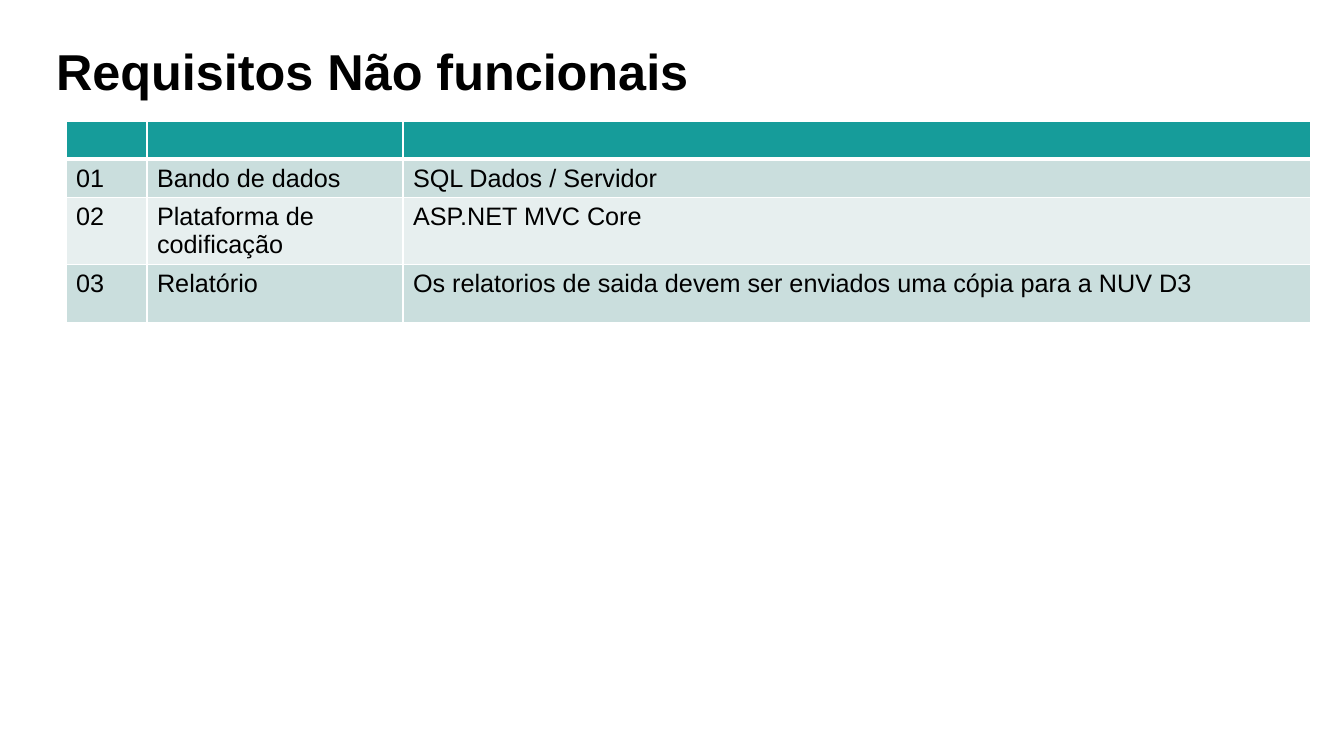
import pptx
import pptx.util
import pptx.dml.color
import pptx.enum.text
import lxml.etree

TITLE = "Requisitos Não funcionais"
ROWS = [
    ("", "", ""),
    ("01", "Bando de dados", "SQL Dados / Servidor"),
    ("02", "Plataforma de codificação", "ASP.NET MVC Core"),
    ("03", "Relatório", "Os relatorios de saida devem ser enviados uma cópia para a NUV D3"),
]
SLIDE = (1344, 756)
HEAD = {"left": 46, "top": -61, "width": 872, "height": 168}
GRID = {"left": 66, "top": 121}
COLS = (81, 256, 908)
HIGHS = (37, 37, 65, 58)
THEME = {
    "font": "Arial", "ink": "000000", "line": "FFFFFF",
    "head": "169C9A", "bands": ("E7EFEF", "CADEDD"),
    "title": 36, "body": 18, "thin": 1, "thick": 3,
}


def px(num):
    return pptx.util.Emu(round(num * 914400 / 100.8))


def assign(item, values):
    for name, value in values.items():
        setattr(item, name, value)


def color(code):
    return pptx.dml.color.RGBColor.from_string(code)


def style(para, size, bold):
    assign(para.font, {"name": THEME["font"], "size": pptx.util.Pt(size), "bold": bold})
    para.font.color.rgb = color(THEME["ink"])
    for run in para.runs:
        assign(run.font, {"name": THEME["font"], "size": pptx.util.Pt(size), "bold": bold})
        run.font.color.rgb = color(THEME["ink"])


def border(cell, row):
    wide = {"T": row == 1, "B": row == 0}
    props = cell._tc.get_or_add_tcPr()
    for spot, side in enumerate("LRTB"):
        width = THEME["thick" if wide.get(side) else "thin"]
        line = lxml.etree.Element(pptx.oxml.ns.qn("a:ln" + side), w=str(pptx.util.Pt(width)))
        fill = lxml.etree.SubElement(line, pptx.oxml.ns.qn("a:solidFill"))
        lxml.etree.SubElement(fill, pptx.oxml.ns.qn("a:srgbClr"), val=THEME["line"])
        props.insert(spot, line)


def main():
    deck = pptx.Presentation()
    assign(deck, {"slide_width": px(SLIDE[0]), "slide_height": px(SLIDE[1])})
    slide = deck.slides.add_slide(deck.slide_layouts[5])

    title = slide.shapes.title
    assign(title, {name: px(num) for name, num in HEAD.items()})
    title.text_frame.text = TITLE
    assign(title.text_frame, {
        "vertical_anchor": pptx.enum.text.MSO_ANCHOR.BOTTOM,
        "auto_size": pptx.enum.text.MSO_AUTO_SIZE.NONE,
        "word_wrap": True,
    })
    para = title.text_frame.paragraphs[0]
    assign(para, {"alignment": pptx.enum.text.PP_ALIGN.LEFT, "line_spacing": 0.9})
    style(para, THEME["title"], True)

    table = slide.shapes.add_table(
        len(ROWS), len(COLS), px(GRID["left"]), px(GRID["top"]),
        px(sum(COLS)), px(sum(HIGHS))).table
    for col, width in zip(table.columns, COLS):
        col.width = px(width)
    for row, texts in enumerate(ROWS):
        table.rows[row].height = px(HIGHS[row])
        shade = THEME["bands"][row % 2] if row else THEME["head"]
        for col, text in enumerate(texts):
            cell = table.cell(row, col)
            cell.text = text
            style(cell.text_frame.paragraphs[0], THEME["body"], False)
            cell.fill.solid()
            cell.fill.fore_color.rgb = color(shade)
            border(cell, row)

    deck.save("out.pptx")


if __name__ == "__main__":
    main()
